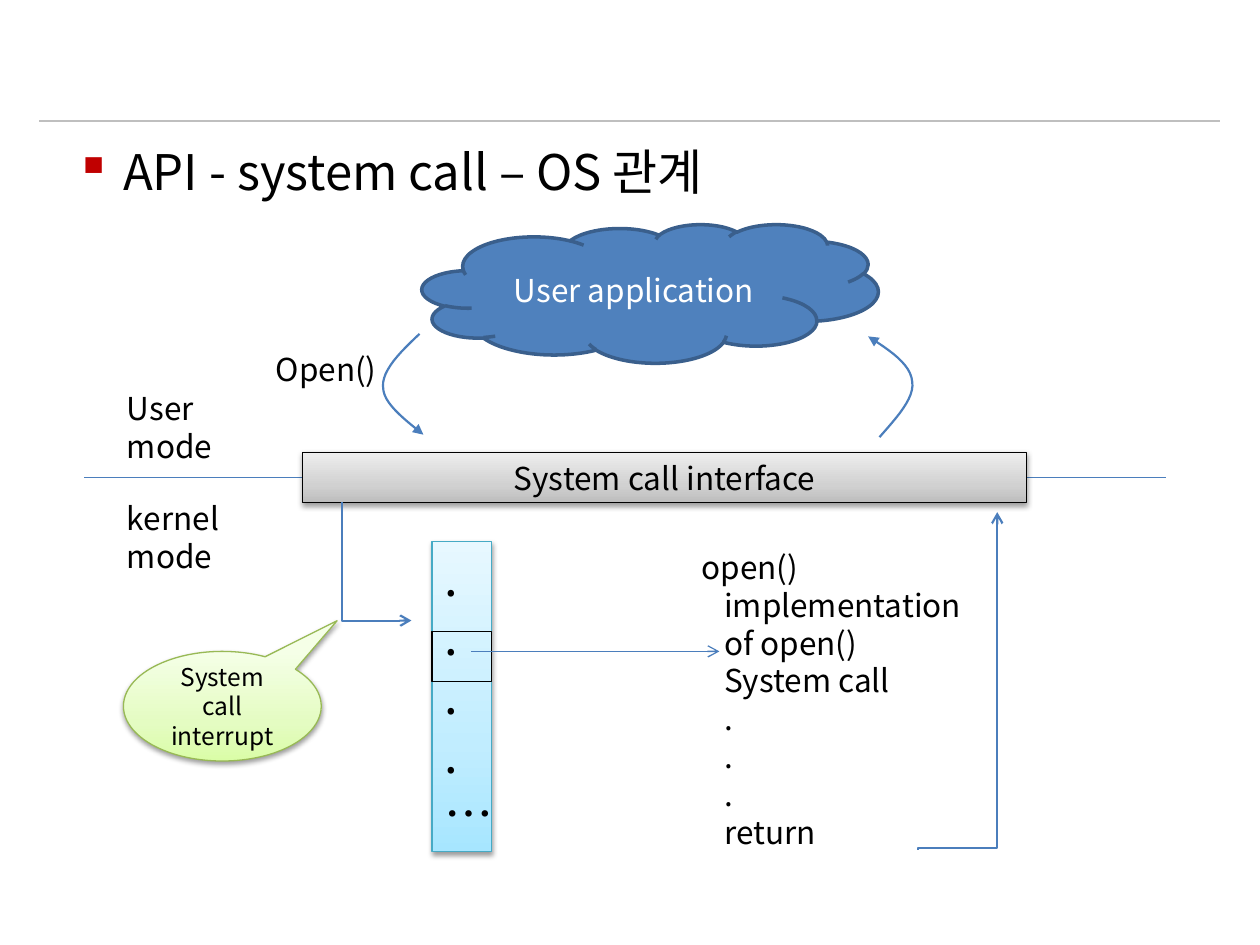
"""Builds a slide on how an API, system calls and the OS relate."""
from dataclasses import dataclass
from typing import NamedTuple, Optional

from lxml.etree import SubElement
from pptx import Presentation
from pptx.dml.color import RGBColor
from pptx.enum.shapes import MSO_CONNECTOR, MSO_SHAPE
from pptx.enum.text import MSO_ANCHOR, PP_ALIGN
from pptx.oxml.ns import qn
from pptx.util import Inches, Pt


@dataclass(frozen=True)
class Theme:
    font: str = "Noto Sans CJK KR"
    ink: str = "000000"
    paper: str = "FFFFFF"
    rule: str = "BFBFBF"
    bullet: str = "C00000"
    arrow: str = "4B7EBC"
    cloud: str = "4F81BD"
    cloud_edge: str = "3A5F8C"
    table_edge: str = "46AAC5"
    callout_edge: str = "98B955"
    grey: tuple = ("BDBDBD", "D1D1D1", "EEEEEE")
    blue: tuple = ("A7E6FF", "C1EDFF", "E7F8FF")
    green: tuple = ("DAFDA7", "E4FCC2", "F5FFE7")
    stops: tuple = (0, 35, 100)
    heading: int = 28
    body: int = 18
    small: int = 14
    thin: float = 0.75
    medium: float = 1.25
    thick: float = 2


THEME = Theme()


class Box(NamedTuple):
    left: float
    top: float
    width: float
    height: float


class Point(NamedTuple):
    x: float
    y: float


@dataclass(frozen=True)
class Label:
    box: Box
    lines: tuple
    indent: float = 0


@dataclass(frozen=True)
class Block:
    kind: MSO_SHAPE
    box: Box
    edge: str
    lines: tuple = ()
    gradient: tuple = ()
    solid: Optional[str] = None
    size: int = THEME.body
    ink: str = THEME.ink
    weight: float = THEME.thin
    align: PP_ALIGN = PP_ALIGN.CENTER
    anchor: MSO_ANCHOR = MSO_ANCHOR.MIDDLE
    adjustments: tuple = ()


@dataclass(frozen=True)
class Line:
    start: Point
    end: Point
    color: str = THEME.arrow
    head: Optional[str] = None


@dataclass(frozen=True)
class Elbow:
    start: Point
    end: Point
    turn: int
    bend: int


def color(code: str) -> RGBColor:
    return RGBColor.from_string(code)


def write(frame, lines: tuple, size: int, ink: str = THEME.ink,
          align: PP_ALIGN = PP_ALIGN.LEFT) -> None:
    frame.word_wrap = True
    frame.text = "\n".join(lines)
    for paragraph in frame.paragraphs:
        paragraph.alignment = align
        for run in paragraph.runs:
            run.font.size = Pt(size)
            run.font.name = THEME.font
            run.font.color.rgb = color(ink)
            SubElement(run.font._element, qn("a:ea"), typeface=THEME.font)


def stroke(item, code: str, weight: float, head: Optional[str] = None) -> None:
    item.line.color.rgb = color(code)
    item.line.width = Pt(weight)
    if head:
        SubElement(item.line._get_or_add_ln(), qn("a:tailEnd"), type=head)


def shade(shape, codes: tuple) -> None:
    shape.fill.gradient()
    shape.fill.gradient_angle = 90
    stops = shape.element.spPr.find(qn("a:gradFill")).find(qn("a:gsLst"))
    for stop in list(stops):
        stops.remove(stop)
    for position, code in zip(THEME.stops, codes):
        stop = SubElement(stops, qn("a:gs"), pos=str(position * 1000))
        SubElement(stop, qn("a:srgbClr"), val=code)
    shadow = SubElement(shape.element.spPr.find(qn("a:effectLst")), qn("a:outerShdw"),
                        blurRad=str(Pt(3.1)), dist=str(Pt(1.6)), dir="5400000", rotWithShape="0")
    tint = SubElement(shadow, qn("a:srgbClr"), val=THEME.ink)
    SubElement(tint, qn("a:alpha"), val="38000")


def draw_heading(slide, box: Box, wording: str) -> None:
    frame = slide.shapes.add_textbox(*map(Inches, box)).text_frame
    write(frame, (wording,), THEME.heading)
    properties = frame.paragraphs[0]._p.get_or_add_pPr()
    properties.set("marL", str(Inches(0.38)))
    properties.set("indent", str(Inches(-0.38)))
    tint = SubElement(properties, qn("a:buClr"))
    SubElement(tint, qn("a:srgbClr"), val=THEME.bullet)
    SubElement(properties, qn("a:buChar"), char="▪")


def draw_label(slide, label: Label) -> None:
    frame = slide.shapes.add_textbox(*map(Inches, label.box)).text_frame
    write(frame, label.lines, THEME.body)
    for paragraph in frame.paragraphs[1:]:
        paragraph._p.get_or_add_pPr().set("marL", str(Inches(label.indent)))


def draw_block(slide, block: Block) -> None:
    shape = slide.shapes.add_shape(block.kind, *map(Inches, block.box))
    shape.shadow.inherit = False
    for index, value in enumerate(block.adjustments):
        shape.adjustments[index] = value
    if block.gradient:
        shade(shape, block.gradient)
    elif block.solid:
        shape.fill.solid()
        shape.fill.fore_color.rgb = color(block.solid)
    else:
        shape.fill.background()
    stroke(shape, block.edge, block.weight)
    if block.lines:
        shape.text_frame.vertical_anchor = block.anchor
        write(shape.text_frame, block.lines, block.size, block.ink, block.align)


def connect(slide, kind: MSO_CONNECTOR, start: Point, end: Point):
    connector = slide.shapes.add_connector(kind, *map(Inches, (*start, *end)))
    SubElement(connector.element.spPr, qn("a:effectLst"))
    return connector


def draw_line(slide, line: Line) -> None:
    connector = connect(slide, MSO_CONNECTOR.STRAIGHT, line.start, line.end)
    stroke(connector, line.color, THEME.thin, line.head)


def draw_elbow(slide, elbow: Elbow) -> None:
    connector = connect(slide, MSO_CONNECTOR.ELBOW, elbow.start, elbow.end)
    properties = connector.element.spPr
    properties.find(qn("a:xfrm")).set("rot", str(elbow.turn * 60000))
    guides = properties.find(qn("a:prstGeom")).find(qn("a:avLst"))
    SubElement(guides, qn("a:gd"), name="adj1", fmla=f"val {elbow.bend}")
    stroke(connector, THEME.arrow, THEME.medium, "arrow")


def bezier(knots: tuple, share: float) -> Point:
    weights = ((1 - share) ** 3, 3 * share * (1 - share) ** 2, 3 * share ** 2 * (1 - share), share ** 3)
    return Point(*(sum(w * value for w, value in zip(weights, axis)) for axis in zip(*knots)))


def draw_curve(slide, knots: tuple, steps: int = 12) -> None:
    points = [bezier(knots[first:first + 4], step / steps)
              for first in range(0, len(knots) - 1, 3) for step in range(1, steps + 1)]
    builder = slide.shapes.build_freeform(*map(Inches, knots[0]))
    builder.add_line_segments([tuple(map(Inches, point)) for point in points], close=False)
    curve = builder.convert_to_shape()
    curve.shadow.inherit = False
    curve.fill.background()
    stroke(curve, THEME.arrow, THEME.medium, "triangle")


def main() -> None:
    deck = Presentation()
    deck.slide_width, deck.slide_height = Inches(10), Inches(7.5)
    slide = deck.slides.add_slide(deck.slide_layouts[6])

    draw_line(slide, Line(Point(0.31, 0.96), Point(9.68, 0.96), THEME.rule))
    draw_heading(slide, Box(0.5, 1.07, 9, 0.65), "API - system call – OS 관계")
    draw_line(slide, Line(Point(0.67, 3.79), Point(9.25, 3.79)))
    for block in (
        Block(MSO_SHAPE.CLOUD, Box(3.35, 1.78, 3.62, 1.1), THEME.cloud_edge, ("User application",),
              solid=THEME.cloud, ink=THEME.paper, weight=THEME.thick),
        Block(MSO_SHAPE.RECTANGLE, Box(2.4, 3.59, 5.75, 0.4), THEME.ink,
              ("System call interface",), THEME.grey),
        Block(MSO_SHAPE.RECTANGLE, Box(3.43, 4.3, 0.47, 2.46), THEME.table_edge, (*"....…",),
              THEME.blue, size=THEME.heading, align=PP_ALIGN.LEFT, anchor=MSO_ANCHOR.TOP),
        Block(MSO_SHAPE.RECTANGLE, Box(3.43, 5.01, 0.47, 0.4), THEME.ink),
        Block(MSO_SHAPE.OVAL_CALLOUT, Box(0.98, 5.17, 1.57, 0.87), THEME.callout_edge,
              ("System call interrupt",), THEME.green, size=THEME.small, adjustments=(0.58, -0.78)),
    ):
        draw_block(slide, block)
    for label in (
        Label(Box(2.09, 2.73, 1.1, 0.4), ("Open()",)),
        Label(Box(0.91, 3.04, 1.1, 0.71), ("User mode",)),
        Label(Box(0.91, 3.91, 1.1, 0.71), ("kernel mode",)),
        Label(Box(5.47, 4.3, 2.36, 2.52), ("open()", "implementation", "of open()", "System call",
                                           *"...", "return"), 0.18),
    ):
        draw_label(slide, label)
    for knots in (
        ((3.33, 2.65), (3.18, 2.79), (3.03, 2.94), (3.04, 3.07), (3.04, 3.2), (3.2, 3.32), (3.36, 3.45)),
        ((6.98, 3.47), (7.12, 3.31), (7.26, 3.16), (7.24, 3.03), (7.23, 2.89), (7.06, 2.78), (6.89, 2.67)),
    ):
        draw_curve(slide, knots)
    draw_line(slide, Line(Point(3.74, 5.17), Point(5.71, 5.17), head="arrow"))
    draw_elbow(slide, Elbow(Point(3.46, 4.18), Point(2.52, 4.73), 270, 100100))
    draw_elbow(slide, Elbow(Point(8.94, 5.72), Point(6.26, 5.09), 90, 500))
    deck.save("out.pptx")


if __name__ == "__main__":
    main()
